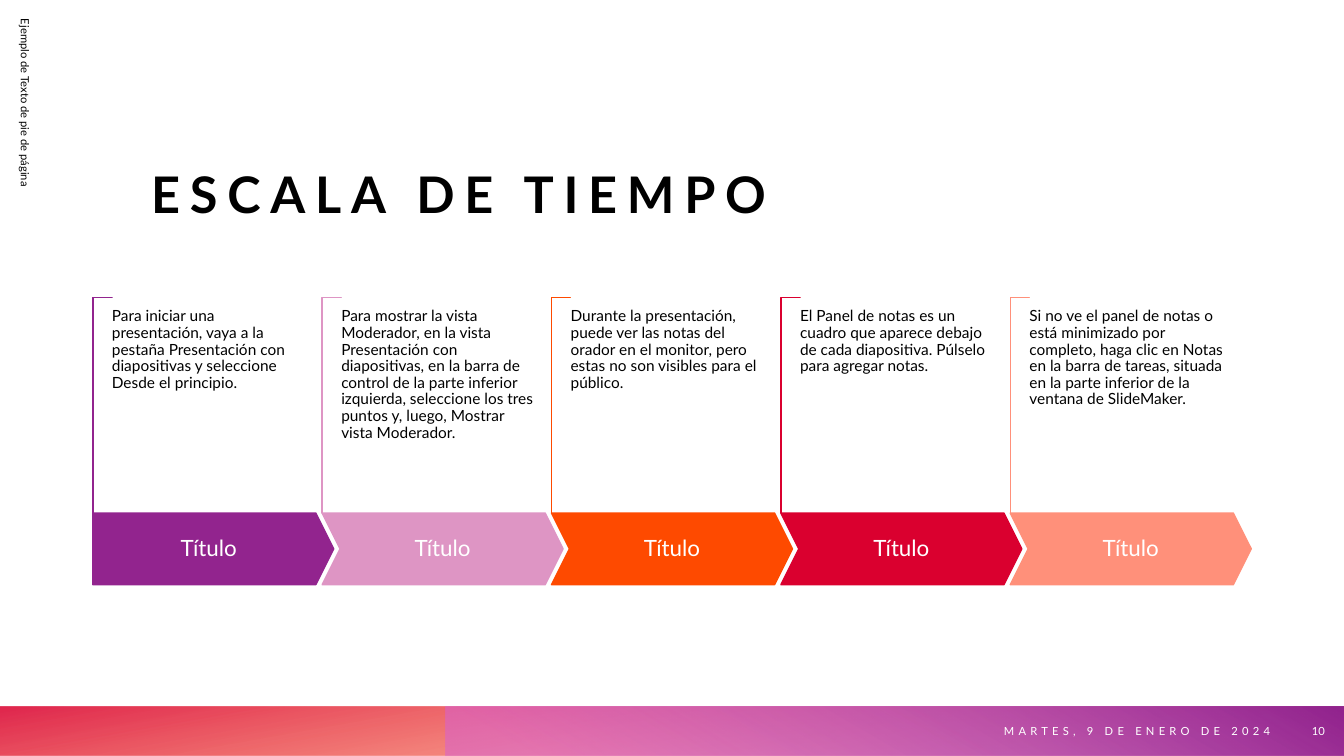
from lxml import etree
from pptx import Presentation
from pptx.dml.color import RGBColor
from pptx.enum.shapes import MSO_SHAPE
from pptx.enum.text import MSO_ANCHOR, MSO_AUTO_SIZE, PP_ALIGN
from pptx.oxml.ns import qn
from pptx.util import Inches, Pt

RECT, CORNER = MSO_SHAPE.RECTANGLE, MSO_SHAPE.CORNER
PLATE, CHEVRON = MSO_SHAPE.PENTAGON, MSO_SHAPE.CHEVRON
TOP, MIDDLE, BOTTOM = MSO_ANCHOR.TOP, MSO_ANCHOR.MIDDLE, MSO_ANCHOR.BOTTOM
LEFT, CENTER, RIGHT = PP_ALIGN.LEFT, PP_ALIGN.CENTER, PP_ALIGN.RIGHT
FIXED = MSO_AUTO_SIZE.NONE

COLORS = {
    "black": "000000", "white": "FFFFFF", "purple": "92248E", "pink": "DE95C4",
    "orange": "FE4A00", "red": "DA002F", "coral": "FF907A", "orchid": "D861D4",
}
FLUSH = {"margin_left": 0, "margin_right": 0, "margin_top": 0, "margin_bottom": 0}
STEPS = [
    ("purple", "Para iniciar una presentación, vaya a la pestaña Presentación con "
     "diapositivas y seleccione Desde el principio."),
    ("pink", "Para mostrar la vista Moderador, en la vista Presentación con "
     "diapositivas, en la barra de control de la parte inferior izquierda, "
     "seleccione los tres puntos y, luego, Mostrar vista Moderador."),
    ("orange", "Durante la presentación, puede ver las notas del orador en el "
     "monitor, pero estas no son visibles para el público."),
    ("red", "El Panel de notas es un cuadro que aparece debajo de cada "
     "diapositiva. Púlselo para agregar notas."),
    ("coral", "Si no ve el panel de notas o está minimizado por completo, haga "
     "clic en Notas en la barra de tareas, situada en la parte inferior de la "
     "ventana de SlideMaker."),
]


def rgb(name):
    """Return the named colour."""
    return RGBColor.from_string(COLORS[name])


def write(shape, text, size, color="black", align=LEFT, anchor=TOP, bold=False,
          track=0, lead=1.0, frame=None):
    """Put one formatted paragraph in a shape."""
    tf = shape.text_frame
    look = {"word_wrap": True, "auto_size": FIXED, "vertical_anchor": anchor}
    for key, value in {**look, **(frame or {})}.items():
        setattr(tf, key, value)
    para = tf.paragraphs[0]
    para.alignment, para.line_spacing = align, lead
    run = para.add_run()
    run.text = text
    for key, value in {"name": "Lato", "size": Pt(size), "bold": bold}.items():
        setattr(run.font, key, value)
    run.font.color.rgb = rgb(color)
    if track:
        run.font._element.set("spc", str(track * 100))


def label(slide, box, text, size, **look):
    """Add a text box and return it."""
    shape = slide.shapes.add_textbox(*map(Inches, box))
    write(shape, text, size, **look)
    return shape


def block(slide, kind, box, color, sizes=()):
    """Add a filled shape with a line of a given colour."""
    shape = slide.shapes.add_shape(kind, *map(Inches, box))
    shape.shadow.inherit = False
    for i, value in enumerate(sizes):
        shape.adjustments[i] = value
    shape.fill.solid()
    shape.fill.fore_color.rgb = rgb(color)
    shape.line.color.rgb = rgb(color)
    shape.line.width = Pt(1)
    return shape


def blend(slide, box, angle, stops, turn=0):
    """Add a mirrored bar with a clear-to-dense gradient."""
    bar = block(slide, RECT, box, "white")
    bar.line.fill.background()
    bar.rotation = turn
    bar.element.spPr.xfrm.set("flipH", "1")
    bar.fill.gradient()
    bar.fill.gradient_angle = 360 - angle
    for stop, (place, color, _) in zip(bar.fill.gradient_stops, stops):
        stop.position = place
        stop.color.rgb = rgb(color)
    tints = bar.element.spPr.iter(qn("a:srgbClr"))
    for tint, (_, _, dense) in zip(list(tints), stops):
        etree.SubElement(tint, qn("a:alpha")).set("val", str(dense * 1000))


def footer(slide, box):
    """Draw the colour band with date and page number."""
    x, y, w, h = box
    blend(slide, box, 100, [(0.14, "orange", 28), (1, "red", 85)], 180)
    blend(slide, (x + 4.42, y, w - 4.42, h), 240,
          [(0.09, "orchid", 55), (0.99, "purple", 100)])
    look = {"color": "white", "align": RIGHT, "anchor": MIDDLE}
    label(slide, (x + 8.65, y, 4.05, h), "MARTES, 9 DE ENERO DE 2024", 8,
          track=3, **look)
    label(slide, (x + 12.76, y, 0.48, h), "10", 8, **look)


def heading(slide, box):
    """Place the slide title."""
    title = slide.shapes.title
    names = ("left", "top", "width", "height")
    for key, value in zip(names, box):
        setattr(title, key, Inches(value))
    write(title, "ESCALA DE TIEMPO", 36, anchor=BOTTOM, bold=True, track=7,
          frame=FLUSH)


def side(slide, box):
    """Place the upright note at the left edge."""
    x, y, w, h = box
    flat = (x + (w - h) / 2, y + (h - w) / 2, h, w)
    note = label(slide, flat, "Ejemplo de Texto de pie de página", 8, anchor=MIDDLE)
    note.rotation = 90


def step(slide, box, kind, color, text):
    """Draw one step: bracket, arrow and its text."""
    x, y, w, h = box
    tall, thin, deep = 2.14, 0.19, 0.71
    bent = (x + (thin - tall) / 2, y + (tall - thin) / 2, tall, thin)
    edge = block(slide, CORNER, bent, "white", (0.01, 0.01))
    edge.line.color.rgb = rgb(color)
    edge.rotation = 90
    arrow = block(slide, kind, (x, y + h - deep, w, deep), color, (0.25,))
    write(arrow, "Título", 16, color="white", align=CENTER, anchor=MIDDLE,
          lead=0.9, frame=FLUSH)
    label(slide, (x + 0.19, y + 0.11, 1.94, 1.91), text, 11, lead=0.9, frame=FLUSH)


def timeline(slide, box):
    """Lay out the steps at an equal pitch."""
    x, y, w, h = box
    wide = 2.39
    pitch = (w - wide) / (len(STEPS) - 1)
    for i, (color, text) in enumerate(STEPS):
        kind = CHEVRON if i else PLATE
        step(slide, (x + i * pitch, y, wide, h), kind, color, text)


def main():
    """Build and save the slide."""
    deck = Presentation()
    deck.slide_width, deck.slide_height = Inches(13.33), Inches(7.5)
    slide = deck.slides.add_slide(deck.slide_layouts[5])
    footer(slide, (0, 7.01, 13.33, 0.49))
    heading(slide, (1.5, 0.87, 11.2, 1.35))
    side(slide, (0, 0.09, 0.5, 4.5))
    timeline(slide, (0.92, 2.95, 11.49, 2.85))
    deck.save("out.pptx")


if __name__ == "__main__":
    main()
